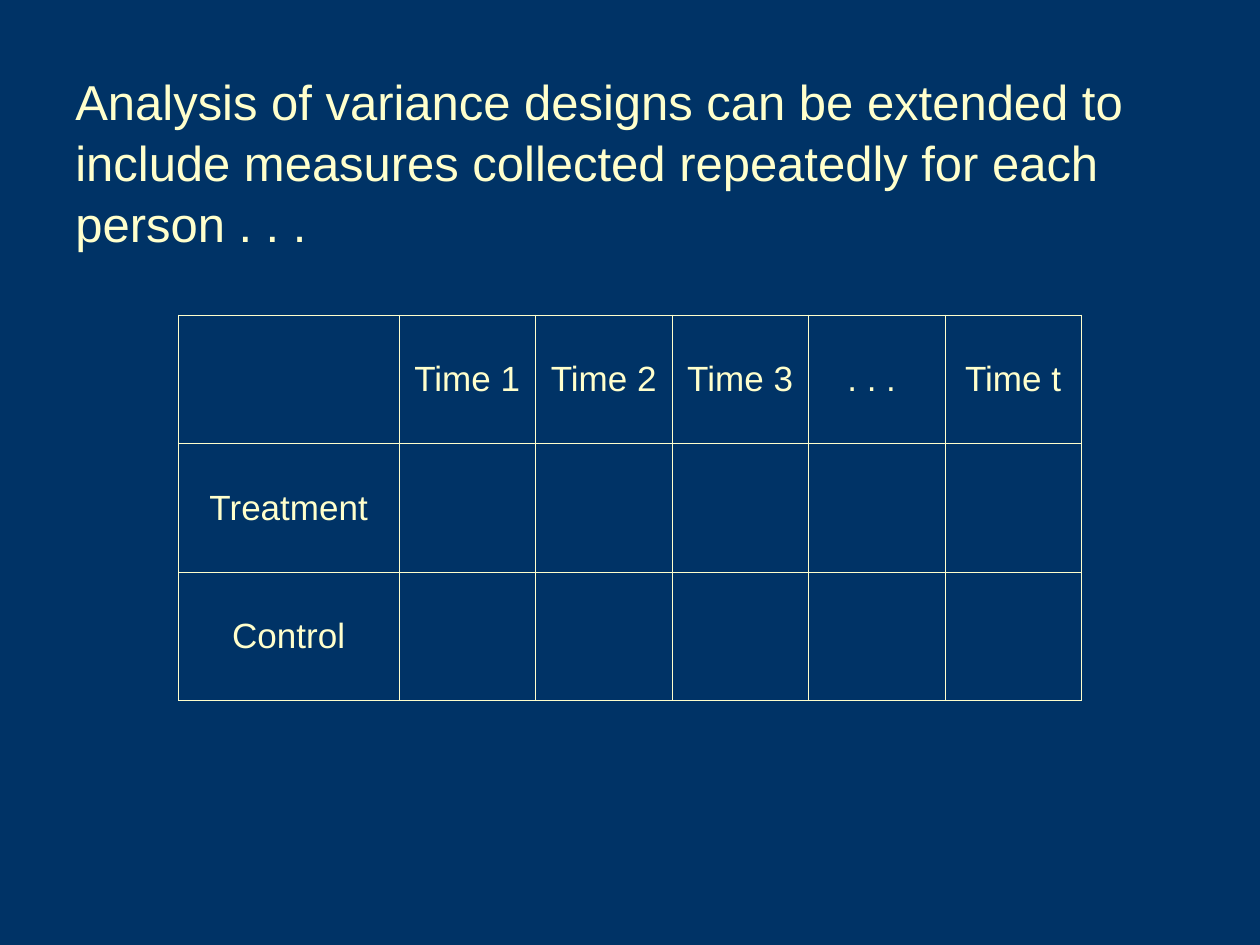
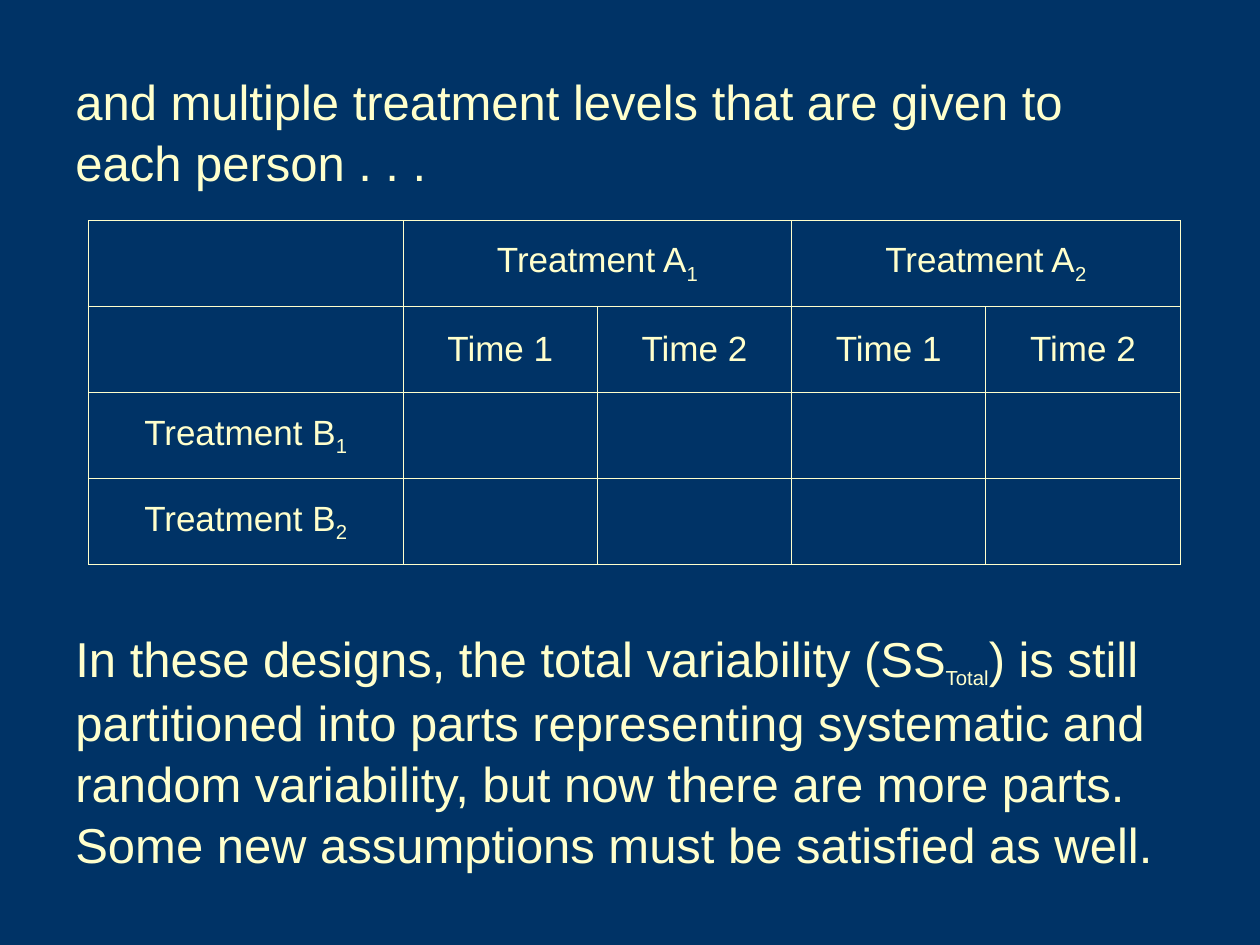
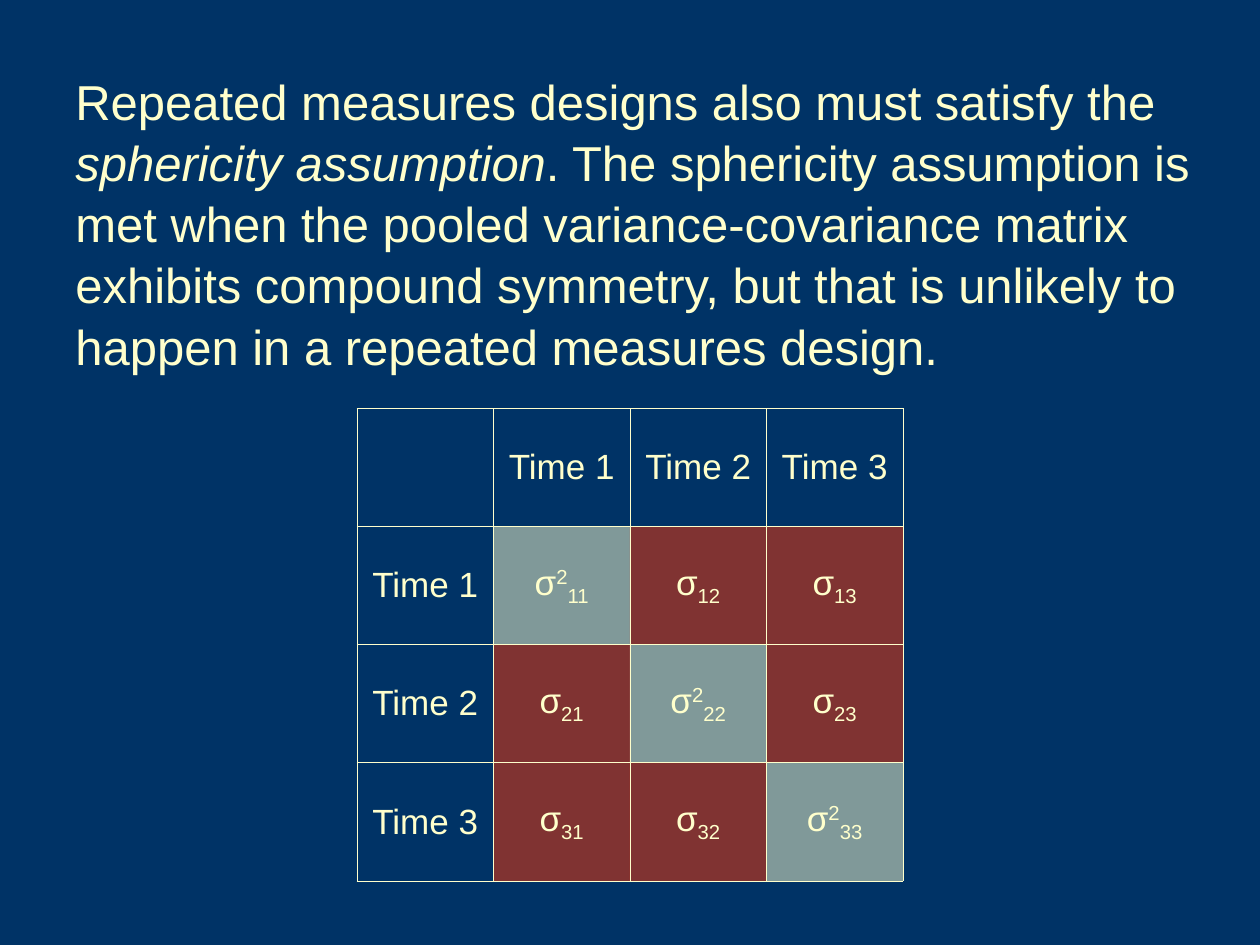
from lxml.etree import SubElement
from pptx import Presentation
from pptx.dml.color import RGBColor
from pptx.enum.text import MSO_ANCHOR, MSO_AUTO_SIZE, PP_ALIGN
from pptx.oxml.ns import qn
from pptx.util import Inches, Pt

COLORS = {"back": "003366", "ink": "FFFFCC", "red": "FF3300"}
SHIFT = {"sub": -25000, "sup": 30000}
COLS, ROWS = 120, 90  # grid cells across and down the slide


class Deck:
    font = "Arial"
    body, small = 28, 20
    edge = 0.45

    def __init__(self):
        self.prs = Presentation()
        self.prs.slide_width = Inches(10)
        self.prs.slide_height = Inches(7.5)
        self.page = None

    def color(self, name):
        return RGBColor.from_string(COLORS[name])

    def x(self, cols):
        return round(self.prs.slide_width * cols / COLS)

    def y(self, rows):
        return round(self.prs.slide_height * rows / ROWS)

    def slide(self):
        self.page = self.prs.slides.add_slide(self.prs.slide_layouts[6])
        fill = self.page.background.fill
        fill.solid()
        fill.fore_color.rgb = self.color("back")

    def runs(self, para, parts, size):
        """Add runs; a part is plain text or a (text, style, size) tuple."""
        for part in parts:
            text, style, *own = (part, "") if isinstance(part, str) else part
            run = para.add_run()
            run.text = text
            run.font.name = self.font
            run.font.size = Pt(own[0] if own else size)
            run.font.color.rgb = self.color("ink")
            if style == "it":
                run.font.italic = True
            elif style in SHIFT:
                run._r.get_or_add_rPr().set("baseline", str(SHIFT[style]))

    def text(self, top, wide, high, *parts):
        box = self.page.shapes.add_textbox(
            self.x(6), self.y(top), self.x(wide), self.y(high))
        frame = box.text_frame
        frame.word_wrap = True
        frame.auto_size = MSO_AUTO_SIZE.SHAPE_TO_FIT_TEXT
        para = frame.paragraphs[0]
        para.space_before = Pt(17.5)
        para.line_spacing = 1.04
        self.runs(para, parts, self.body)

    def border(self, cell):
        props = cell._tc.get_or_add_tcPr()
        for at, side in enumerate(("lnL", "lnR", "lnT", "lnB")):
            line = props.makeelement(qn(f"a:{side}"), {"w": str(Pt(self.edge))})
            fill = SubElement(line, qn("a:solidFill"))
            SubElement(fill, qn("a:srgbClr"), val=COLORS["ink"])
            props.insert(at, line)

    def tint(self, cell, name):
        """Fill a cell with a half transparent colour."""
        cell.fill.solid()
        cell.fill.fore_color.rgb = self.color(name)
        tone = cell._tc.tcPr.find(f"{qn('a:solidFill')}/{qn('a:srgbClr')}")
        SubElement(tone, qn("a:alpha"), val="50000")

    def table(self, left, top, wides, high, cells):
        """Draw rows of cells, each a list of text parts."""
        rows, cols = len(cells), len(wides)
        grid = self.page.shapes.add_table(
            rows, cols, self.x(left), self.y(top),
            self.x(sum(wides)), self.y(high * rows)).table
        grid.first_row = grid.horz_banding = False
        for col, wide in zip(grid.columns, wides):
            col.width = self.x(wide)
        for r, row in enumerate(cells):
            grid.rows[r].height = self.y(high)
            for c, parts in enumerate(row):
                cell = grid.cell(r, c)
                cell.fill.background()
                self.border(cell)
                cell.vertical_anchor = MSO_ANCHOR.MIDDLE
                if parts:
                    para = cell.text_frame.paragraphs[0]
                    para.alignment = PP_ALIGN.CENTER
                    para.space_before = Pt(5)
                    self.runs(para, parts, self.small)
        return grid


def low(text, mark):
    return [text, (str(mark), "sub")]


def sigma(r, c):
    power = [("2", "sup")] if r == c else []
    return ["σ", *power, (f"{r}{c}", "sub")]


deck = Deck()
times = [[f"Time {n}"] for n in (1, 2, 3)]

# Repeated measures for each person
deck.slide()
deck.table(17, 30, [21] + [13] * 5, 12.25, [
    [[], *times, [". . . "], ["Time t"]],
    [["Treatment"]] + [[]] * 5,
    [["Control"]] + [[]] * 5,
])
deck.text(6, 107, 18,
          "Analysis of variance designs can be extended to include measures "
          "collected repeatedly for each person . . .")

# Several treatment levels for each person
deck.slide()
grid = deck.table(8.4, 21, [30] + [18.5] * 4, 8.2, [
    [[], low("Treatment A", 1), [], low("Treatment A", 2), []],
    [[], *times[:2] * 2],
    *([low("Treatment B", n)] + [[]] * 4 for n in (1, 2)),
])
for c in (1, 3):
    grid.cell(0, c).merge(grid.cell(0, c + 1))
deck.text(6, 103, 12.5,
          "and multiple treatment levels that are given to each person . . .")
deck.text(59, 112, 24,
          "In these designs, the total variability (SS",
          ("Total", "sub", deck.small),
          ") is still partitioned into parts representing systematic and "
          "random variability, but now there are more parts. Some new "
          "assumptions must be satisfied as well.")

# Sphericity and the covariance matrix
deck.slide()
grid = deck.table(34, 38.9, [13] * 4, 11.25, [
    [[], *times],
    *([times[r - 1]] + [sigma(r, c) for c in (1, 2, 3)] for r in (1, 2, 3)),
])
for r in (1, 2, 3):
    for c in (1, 2, 3):
        deck.tint(grid.cell(r, c), "ink" if r == c else "red")
deck.text(6, 111, 30,
          "Repeated measures designs also must satisfy the ",
          ("sphericity assumption", "it"),
          ". The sphericity assumption is met when the pooled "
          "variance-covariance matrix exhibits compound symmetry, but that is "
          "unlikely to happen in a repeated measures design.")

deck.prs.save("out.pptx")
